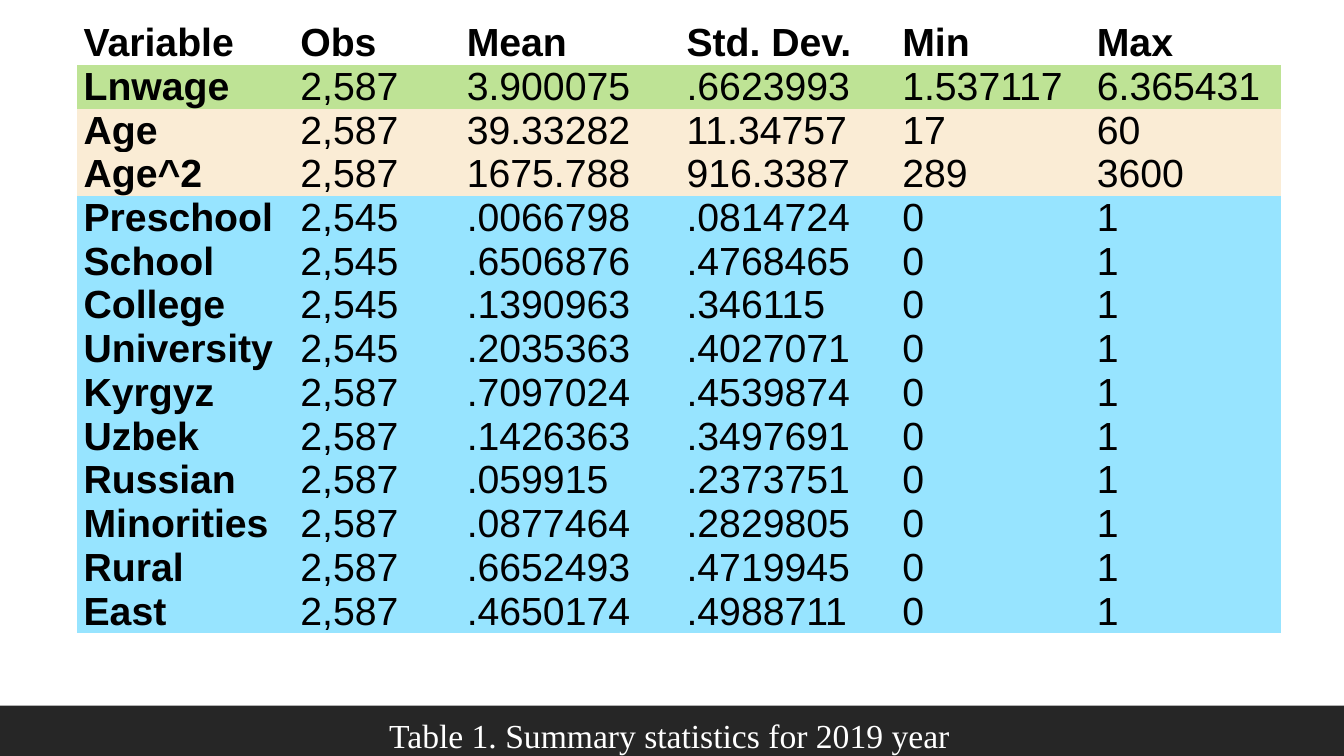
from pptx import Presentation
from pptx.dml.color import RGBColor
from pptx.enum.shapes import MSO_SHAPE
from pptx.enum.text import MSO_ANCHOR, PP_ALIGN
from pptx.oxml.ns import qn
from pptx.util import Inches, Pt

BLACK = RGBColor(0x00, 0x00, 0x00)
WHITE = RGBColor(0xFF, 0xFF, 0xFF)
CHARCOAL = RGBColor(0x26, 0x26, 0x26)
GREEN = RGBColor(0xBE, 0xE3, 0x95)
CREAM = RGBColor(0xFA, 0xEC, 0xD5)
SKY = RGBColor(0x97, 0xE4, 0xFF)
NO_GRID_STYLE = "{2D5ABB26-0587-4C30-8999-92F81FD0307C}"

HEADINGS = ["Variable", "Obs", "Mean", "Std. Dev.", "Min", "Max"]
COLUMN_WIDTHS = [2.15, 1.65, 2.18, 2.14, 1.93, 1.9]
ROW_HEIGHT = 0.43
WAGE = [["Lnwage", "2,587", "3.900075", ".6623993", "1.537117", "6.365431"]]
AGES = [
    ["Age", "2,587", "39.33282", "11.34757", "17", "60"],
    ["Age^2", "2,587", "1675.788", "916.3387", "289", "3600"],
]
# Dummy variables all range from 0 to 1
DUMMIES = [
    ["Preschool", "2,545", ".0066798", ".0814724"],
    ["School", "2,545", ".6506876", ".4768465"],
    ["College", "2,545", ".1390963", ".346115"],
    ["University", "2,545", ".2035363", ".4027071"],
    ["Kyrgyz", "2,587", ".7097024", ".4539874"],
    ["Uzbek", "2,587", ".1426363", ".3497691"],
    ["Russian", "2,587", ".059915", ".2373751"],
    ["Minorities", "2,587", ".0877464", ".2829805"],
    ["Rural", "2,587", ".6652493", ".4719945"],
    ["East", "2,587", ".4650174", ".4988711"],
]
GROUPS = [
    (WHITE, [HEADINGS]),
    (GREEN, WAGE),
    (CREAM, AGES),
    (SKY, [dummy + ["0", "1"] for dummy in DUMMIES]),
]


def write(frame, text, font="Arial", size=28, color=BLACK, bold=False,
          align=PP_ALIGN.LEFT, line_spacing=None):
    paragraph = frame.paragraphs[0]
    paragraph.alignment = align
    paragraph.line_spacing = line_spacing
    run = paragraph.add_run()
    run.text = text
    run.font.name = font
    run.font.size = Pt(size)
    run.font.bold = bold
    run.font.color.rgb = color


prs = Presentation()
prs.slide_width = Inches(13.33)
prs.slide_height = Inches(7.5)
slide = prs.slides.add_slide(prs.slide_layouts[6])

# Footer band
footer = slide.shapes.add_shape(
    MSO_SHAPE.RECTANGLE, 0, Inches(7), prs.slide_width, Inches(0.5))
footer.shadow.inherit = False
footer.fill.solid()
footer.fill.fore_color.rgb = CHARCOAL
footer.line.fill.background()

# Summary statistics, one fill per group of variables
rows = [(fill, values) for fill, group in GROUPS for values in group]
statistics = slide.shapes.add_table(
    len(rows), len(HEADINGS), Inches(0.76), Inches(0.21),
    Inches(sum(COLUMN_WIDTHS)), Inches(ROW_HEIGHT * len(rows))).table
statistics.first_row = False
statistics.horz_banding = False
statistics._tbl.tblPr.find(qn("a:tableStyleId")).text = NO_GRID_STYLE
for column, width in zip(statistics.columns, COLUMN_WIDTHS):
    column.width = Inches(width)

for r, (fill, values) in enumerate(rows):
    statistics.rows[r].height = Inches(ROW_HEIGHT)
    for c, value in enumerate(values):
        cell = statistics.cell(r, c)
        cell.margin_left = cell.margin_right = Inches(0.07)
        cell.margin_top = cell.margin_bottom = 0
        cell.fill.solid()
        cell.fill.fore_color.rgb = fill
        is_label = r == 0 or c == 0
        write(cell.text_frame, value, bold=is_label,
              align=PP_ALIGN.JUSTIFY if is_label else PP_ALIGN.LEFT)

# Caption
caption = slide.shapes.add_textbox(
    Inches(1.11), Inches(7.05), Inches(11.06), Inches(0.45)).text_frame
caption.word_wrap = True
caption.vertical_anchor = MSO_ANCHOR.BOTTOM
caption.margin_left = caption.margin_right = Inches(0.1)
caption.margin_top = caption.margin_bottom = 0
write(caption, "Table 1. Summary statistics for 2019 year",
      font="Times New Roman", size=24, color=WHITE,
      align=PP_ALIGN.CENTER, line_spacing=0.9)

prs.save("out.pptx")
